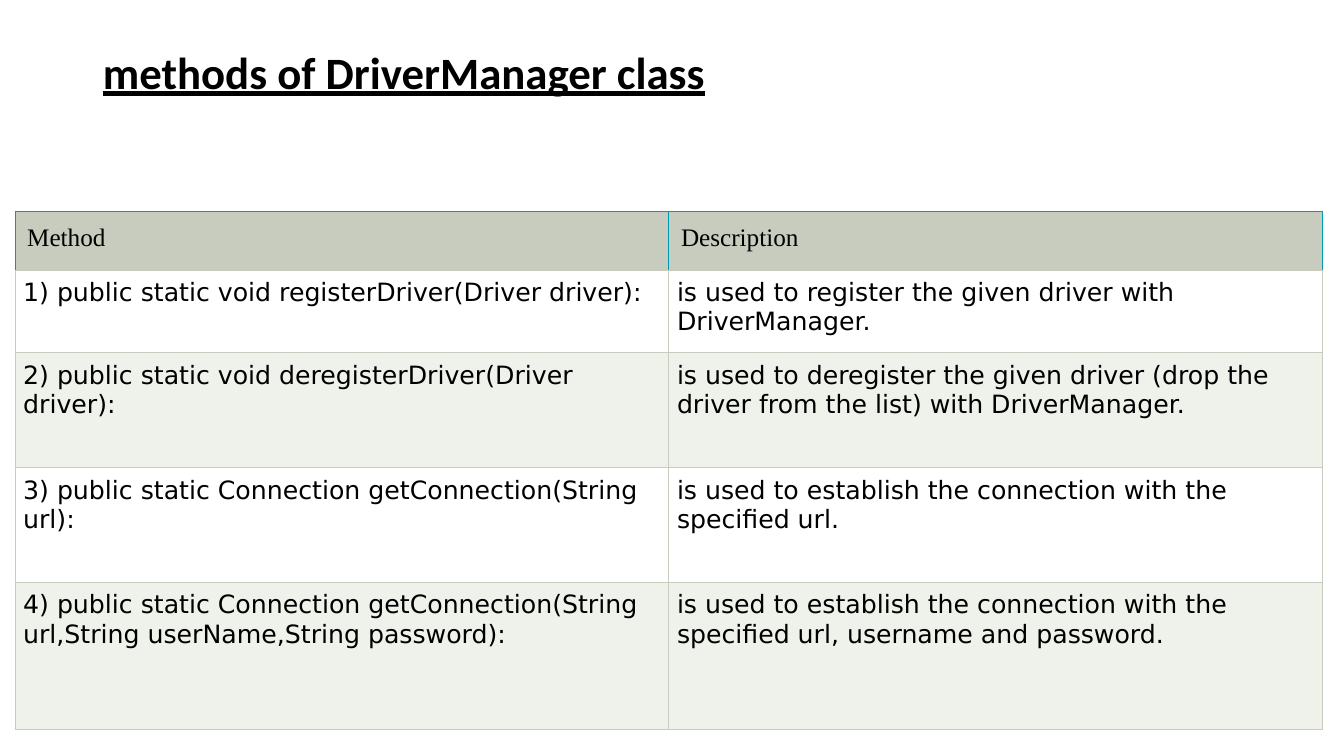
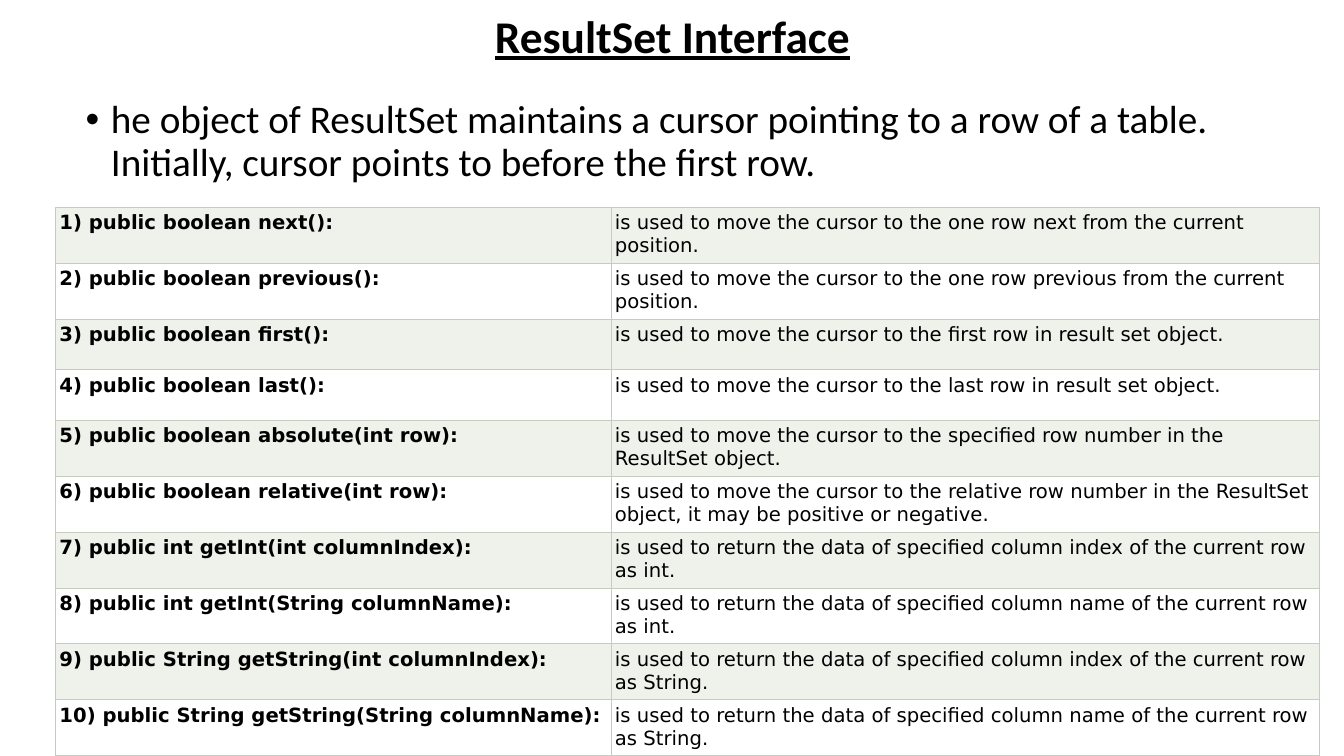
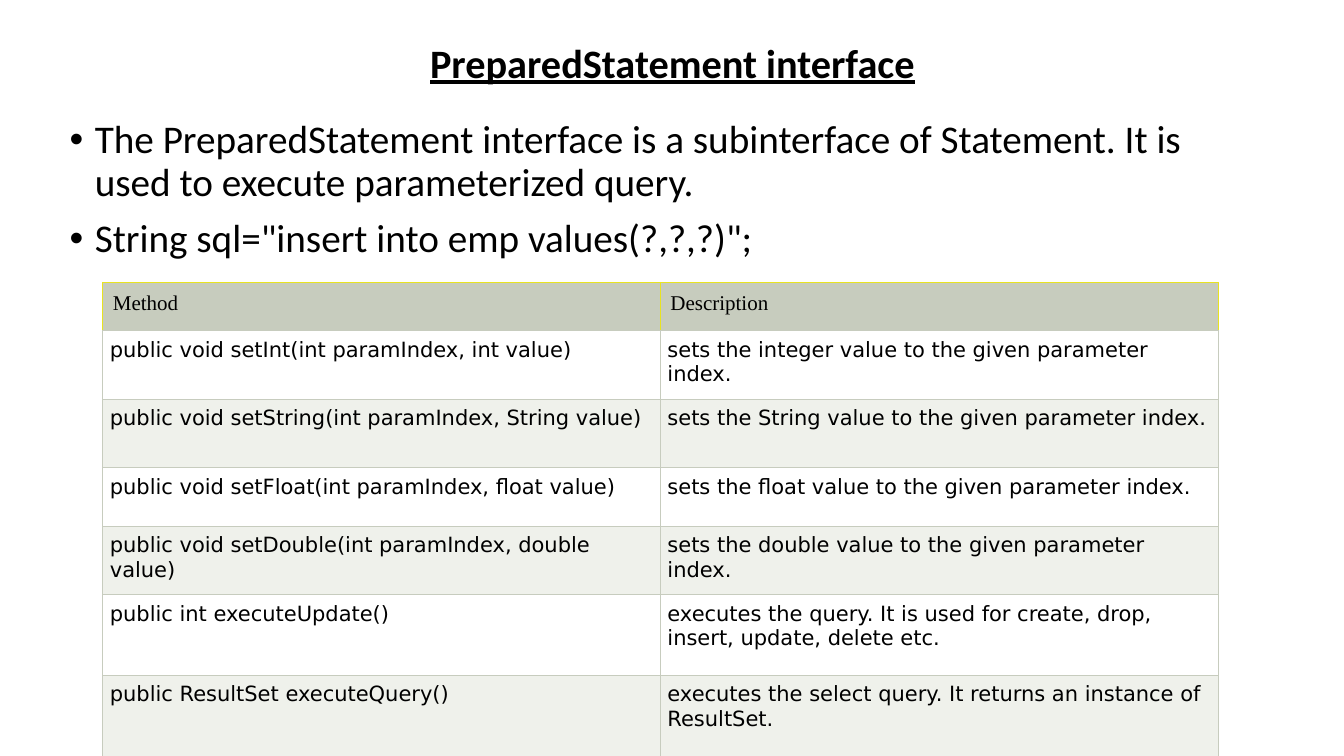
from dataclasses import dataclass
from typing import Optional

from lxml import etree
from pptx import Presentation
from pptx import util as u
from pptx.dml import color
from pptx.enum import text
from pptx.oxml import ns

COLORS = {
    "text": "000000",
    "header": "C7CCBE",
    "border": "C7CCBE",
    "plain": "FFFFFF",
    "band": "EFF1EB",
    "teal": "009BB0",
    "yellow": "E8E322",
}
TITLE_FONT = BODY_FONT = "Calibri"
CELL_FONT = "DejaVu Sans"
HEADER_FONT = "Times New Roman"
LINE_SPACING = 0.9
BORDER_POINTS = 0.75
TITLE_LEFT, TEXT_WIDTH, BODY_HEIGHT = 0.92, 11.5, 4.76
BULLET_INDENT = 0.25
TITLE_ONLY, TITLE_AND_CONTENT = 5, 1


@dataclass
class TitleSpec:
    wording: str
    top: float
    height: float
    size: float
    centered: bool = True


@dataclass
class BodySpec:
    left: float
    top: float
    items: list[str]


@dataclass
class TableSpec:
    left: float
    top: float
    columns: list[float]
    row_heights: list[float]
    rows: list[tuple[str, str]]
    size: float
    margin: float
    header_margin: float = 0
    header_border: Optional[str] = None  # None: the table has no header row
    bold_methods: bool = False


@dataclass
class SlideSpec:
    title: TitleSpec
    table: TableSpec
    body: Optional[BodySpec] = None


HEADER = ("Method", "Description")

DRIVER_MANAGER = SlideSpec(
    TitleSpec("methods of DriverManager class", 0.4, 1.45, 32, centered=False),
    TableSpec(
        0.15, 2.1, [6.485, 6.485], [0.58, 0.82, 1.14, 1.14, 1.46],
        [
            HEADER,
            ("1) public static void registerDriver(Driver driver):",
             "is used to register the given driver with DriverManager."),
            ("2) public static void deregisterDriver(Driver driver):",
             "is used to deregister the given driver (drop the driver from the list) with DriverManager."),
            ("3) public static Connection getConnection(String url):",
             "is used to establish the connection with the specified url."),
            ("4) public static Connection getConnection(String url,String userName,String password):",
             "is used to establish the connection with the specified url, username and password."),
        ],
        size=18, margin=0.08, header_margin=0.12, header_border="teal",
    ),
)

# Two short rows; the others share the remaining table height
SHORT_ROW = 0.5
LONG_ROW = (5.44 - 2 * SHORT_ROW) / 8

RESULT_SET = SlideSpec(
    TitleSpec("ResultSet Interface", 0.23, 0.31, 32.4),
    TableSpec(
        0.55, 2.06, [5.51, 7.03],
        [LONG_ROW] * 2 + [SHORT_ROW] * 2 + [LONG_ROW] * 6,
        [
            ("1) public boolean next():",
             "is used to move the cursor to the one row next from the current position."),
            ("2) public boolean previous():",
             "is used to move the cursor to the one row previous from the current position."),
            ("3) public boolean first():",
             "is used to move the cursor to the first row in result set object."),
            ("4) public boolean last():",
             "is used to move the cursor to the last row in result set object."),
            ("5) public boolean absolute(int row):",
             "is used to move the cursor to the specified row number in the ResultSet object."),
            ("6) public boolean relative(int row):",
             "is used to move the cursor to the relative row number in the ResultSet object, "
             "it may be positive or negative."),
            ("7) public int getInt(int columnIndex):",
             "is used to return the data of specified column index of the current row as int."),
            ("8) public int getInt(String columnName):",
             "is used to return the data of specified column name of the current row as int."),
            ("9) public String getString(int columnIndex):",
             "is used to return the data of specified column index of the current row as String."),
            ("10) public String getString(String columnName):",
             "is used to return the data of specified column name of the current row as String."),
        ],
        size=14, margin=0.04, bold_methods=True,
    ),
    BodySpec(0.75, 0.94, [
        "he object of ResultSet maintains a cursor pointing to a row of a table. "
        "Initially, cursor points to before the first row.",
    ]),
)

PREPARED_STATEMENT = SlideSpec(
    TitleSpec("PreparedStatement interface", 0.4, 0.49, 28.8),
    TableSpec(
        1.02, 2.8, [5.53, 5.53], [0.48, 0.68, 0.68, 0.58, 0.68, 0.8, 0.8],
        [
            HEADER,
            ("public void setInt(int paramIndex, int value)",
             "sets the integer value to the given parameter index."),
            ("public void setString(int paramIndex, String value)",
             "sets the String value to the given parameter index."),
            ("public void setFloat(int paramIndex, float value)",
             "sets the float value to the given parameter index."),
            ("public void setDouble(int paramIndex, double value)",
             "sets the double value to the given parameter index."),
            ("public int executeUpdate()",
             "executes the query. It is used for create, drop, insert, update, delete etc."),
            ("public ResultSet executeQuery()",
             "executes the select query. It returns an instance of ResultSet."),
        ],
        size=15, margin=0.07, header_margin=0.1, header_border="yellow",
    ),
    BodySpec(0.59, 1.14, [
        "The PreparedStatement interface is a subinterface of Statement. "
        "It is used to execute parameterized query.",
        'String sql="insert into emp values(?,?,?)";',
    ]),
)


def place(shape, left: float, top: float, width: float, height: float) -> None:
    shape.left, shape.top = u.Inches(left), u.Inches(top)
    shape.width, shape.height = u.Inches(width), u.Inches(height)


def set_font(paragraph, name: str, size: float, bold: bool = False) -> None:
    font = paragraph.font
    font.name, font.size, font.bold = name, u.Pt(size), bold
    font.color.rgb = color.RGBColor.from_string(COLORS["text"])


def fill_title(shape, title: TitleSpec) -> None:
    place(shape, TITLE_LEFT, title.top, TEXT_WIDTH, title.height)
    frame = shape.text_frame
    frame.text = title.wording
    frame.auto_size = text.MSO_AUTO_SIZE.NONE
    paragraph = frame.paragraphs[0]
    paragraph.line_spacing = LINE_SPACING
    set_font(paragraph, TITLE_FONT, title.size, bold=True)
    paragraph.font.underline = True
    if title.centered:
        frame.vertical_anchor = text.MSO_ANCHOR.MIDDLE
        paragraph.alignment = text.PP_ALIGN.CENTER
    else:
        frame.vertical_anchor = text.MSO_ANCHOR.TOP
        frame.margin_top = u.Inches(0.1)
        paragraph.alignment = text.PP_ALIGN.LEFT


def fill_body(shape, body: BodySpec) -> None:
    place(shape, body.left, body.top, TEXT_WIDTH, BODY_HEIGHT)
    frame = shape.text_frame
    frame.text = "\n".join(body.items)
    frame.auto_size = text.MSO_AUTO_SIZE.NONE
    for paragraph in frame.paragraphs:
        paragraph.line_spacing = LINE_SPACING
        paragraph.space_before = u.Pt(10)
        set_font(paragraph, BODY_FONT, 28)
        # Hanging indent; the bullet comes from the master
        properties = paragraph._p.get_or_add_pPr()
        properties.set("marL", str(u.Inches(BULLET_INDENT)))
        properties.set("indent", str(-u.Inches(BULLET_INDENT)))


def set_borders(cell, side_color: str) -> None:
    """Draw all four borders; the bottom one always has the table's colour."""
    properties = cell._tc.get_or_add_tcPr()
    for side in "LRTB":
        line = etree.SubElement(properties, ns.qn(f"a:ln{side}"), w=str(u.Pt(BORDER_POINTS)))
        fill = etree.SubElement(line, ns.qn("a:solidFill"))
        name = "border" if side == "B" else side_color
        etree.SubElement(fill, ns.qn("a:srgbClr"), val=COLORS[name])


def format_cell(cell, wording: str, fill: str, border: str, margin: float,
                font: str, size: float, bold: bool) -> None:
    cell.text = wording
    cell.margin_left = cell.margin_right = u.Inches(margin)
    cell.margin_top = cell.margin_bottom = u.Inches(margin)
    set_font(cell.text_frame.paragraphs[0], font, size, bold)
    set_borders(cell, border)
    cell.fill.solid()
    cell.fill.fore_color.rgb = color.RGBColor.from_string(COLORS[fill])


def draw_table(slide, spec: TableSpec) -> None:
    table = slide.shapes.add_table(
        len(spec.rows), len(spec.columns), u.Inches(spec.left), u.Inches(spec.top),
        u.Inches(sum(spec.columns)), u.Inches(sum(spec.row_heights))).table
    table.first_row = table.horz_banding = False
    for column, width in zip(table.columns, spec.columns):
        column.width = u.Inches(width)
    for row, height in zip(table.rows, spec.row_heights):
        row.height = u.Inches(height)

    for row_index, wordings in enumerate(spec.rows):
        is_header = row_index == 0 and spec.header_border is not None
        for column_index, wording in enumerate(wordings):
            cell = table.cell(row_index, column_index)
            if is_header:
                format_cell(cell, wording, "header", spec.header_border,
                            spec.header_margin, HEADER_FONT, spec.size, False)
            else:
                fill = "plain" if row_index % 2 else "band"
                bold = spec.bold_methods and column_index == 0
                format_cell(cell, wording, fill, "border", spec.margin,
                            CELL_FONT, spec.size, bold)


def add_slide(presentation, spec: SlideSpec) -> None:
    layout = TITLE_AND_CONTENT if spec.body else TITLE_ONLY
    slide = presentation.slides.add_slide(presentation.slide_layouts[layout])
    fill_title(slide.shapes.title, spec.title)
    if spec.body:
        fill_body(slide.placeholders[1], spec.body)
    draw_table(slide, spec.table)


def main() -> None:
    presentation = Presentation()
    presentation.slide_width = u.Inches(13.33)
    presentation.slide_height = u.Inches(7.5)
    for spec in (DRIVER_MANAGER, RESULT_SET, PREPARED_STATEMENT):
        add_slide(presentation, spec)
    presentation.save("out.pptx")


if __name__ == "__main__":
    main()
